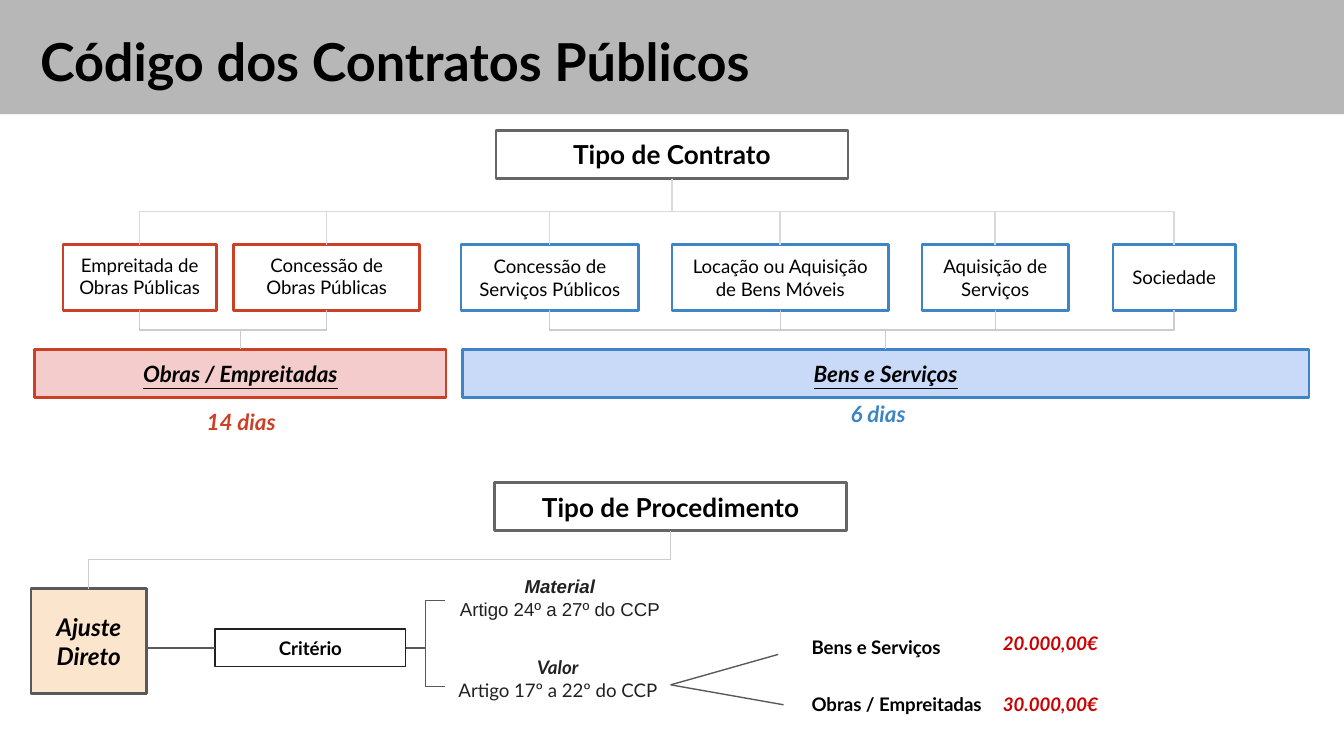
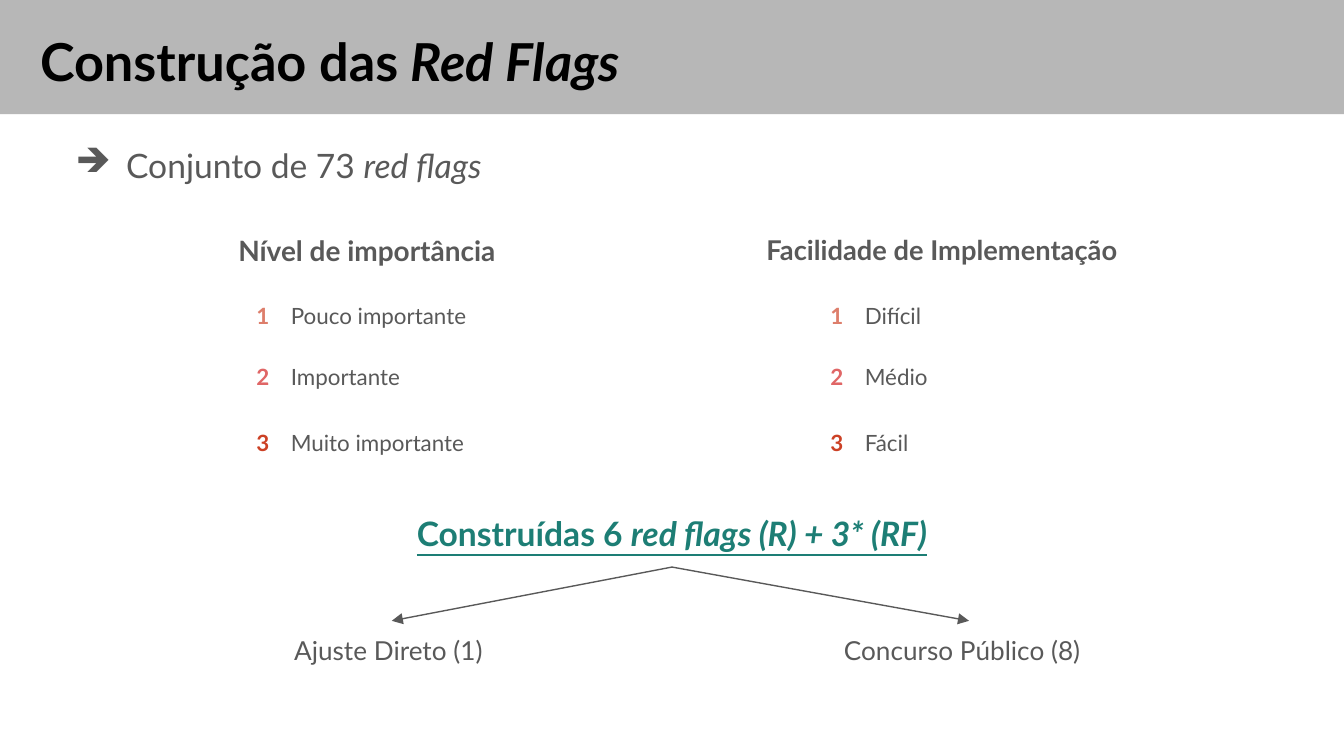
from lxml.etree import SubElement
from pptx import Presentation
from pptx.dml.color import RGBColor
from pptx.enum.shapes import MSO_CONNECTOR, MSO_SHAPE
from pptx.enum.text import MSO_ANCHOR, PP_ALIGN
from pptx.oxml.ns import qn
from pptx.util import Pt

BLACK, GRAY, DARK = "000000", "595959", "212121"
RED, BLUE, TEAL = "CC4125", "3D85C6", "1D7E75"
BAND, FRAME, PRICE = "B7B7B7", "666666", "CC0000"
PALE, SILVER = "D9D9D9", "CCCCCC"
HEAD = dict(fill=BAND, size=28, bold=True, top=15.8, margin=14.4)


def add_box(page, place, text, fill=None, line=None, weight=1.5, size=10, color=BLACK,
            bold=False, italic=False, underline=False, font="Lato", center=False,
            middle=False, top=7.2, bottom=7.2, margin=0, indent=0, bullet=None,
            spacing=None, after=None):
    """Text is a string or a list of (string, changed format) spans."""
    place = [Pt(value) for value in place]
    if fill or line:
        box = page.shapes.add_shape(MSO_SHAPE.RECTANGLE, *place)
        box.shadow.inherit = False
    else:
        box = page.shapes.add_textbox(*place)
    if fill:
        box.fill.solid()
        box.fill.fore_color.rgb = RGBColor.from_string(fill)
    else:
        box.fill.background()
    if line:
        box.line.color.rgb = RGBColor.from_string(line)
        box.line.width = Pt(weight)
    else:
        box.line.fill.background()

    frame = box.text_frame
    frame.word_wrap = True
    frame.vertical_anchor = MSO_ANCHOR.MIDDLE if middle else MSO_ANCHOR.TOP
    frame.margin_left = frame.margin_right = Pt(7.2)
    frame.margin_top, frame.margin_bottom = Pt(top), Pt(bottom)
    para = frame.paragraphs[0]
    para.alignment = PP_ALIGN.CENTER if center else PP_ALIGN.LEFT
    if spacing:
        para.line_spacing = spacing
    if after:
        para.space_after = Pt(after)
    settings = para._p.get_or_add_pPr()
    settings.set("marL", str(Pt(margin)))
    settings.set("indent", str(Pt(indent)))
    if bullet:
        tint = SubElement(settings, qn("a:buClr"))
        SubElement(tint, qn("a:srgbClr")).set("val", color)
        SubElement(settings, qn("a:buChar")).set("char", bullet)

    for words, changes in [(text, {})] if isinstance(text, str) else text:
        style = dict(color=color, bold=bold, italic=italic) | changes
        span = para.add_run()
        span.text = words.rstrip("\n")
        span.font.name, span.font.size = font, Pt(size)
        span.font.bold, span.font.italic = style["bold"], style["italic"]
        span.font.underline = underline
        span.font.color.rgb = RGBColor.from_string(style["color"])
        if words.endswith("\n"):
            para.add_line_break()
    return box


def add_line(page, start, end, color=GRAY, bend=None, arrow=False):
    """A bend of "down" leaves vertically, "across" leaves horizontally."""
    (x1, y1), (x2, y2) = start, end
    angle = 0
    if bend == "down":
        # The elbow is laid out lying down, then turned about its centre
        middle_x, middle_y = (x1 + x2) / 2, (y1 + y2) / 2
        half_drop, half_run = (y2 - y1) / 2, abs(x2 - x1) / 2
        angle = 90 if x2 < x1 else 270
        side = 1 if x2 < x1 else -1
        x1, x2 = middle_x - side * half_drop, middle_x + side * half_drop
        y1, y2 = middle_y - half_run, middle_y + half_run
    kind = MSO_CONNECTOR.ELBOW if bend else MSO_CONNECTOR.STRAIGHT
    line = page.shapes.add_connector(kind, Pt(x1), Pt(y1), Pt(x2), Pt(y2))
    line.rotation = angle
    line.line.color.rgb = RGBColor.from_string(color)
    line.line.width = Pt(0.75)
    if arrow:
        SubElement(line.line._get_or_add_ln(), qn("a:tailEnd")).set("type", "triangle")
    SubElement(line._element.spPr, qn("a:effectLst"))
    return line


deck = Presentation()
deck.slide_width, deck.slide_height = Pt(720), Pt(405)
titles = [
    "Código dos Contratos Públicos",
    [("Construção das ", {}), ("Red Flags", {"italic": True})],
]
pages = []
for title in titles:
    page = deck.slides.add_slide(deck.slide_layouts[6])
    add_box(page, (0, 0, 720, 61.2), title, **HEAD)
    pages.append(page)

# Slide 1: contract types, gathered into two groups
page = pages[0]
heading = dict(line=FRAME, size=14, bold=True, center=True, middle=True)
add_box(page, (265.7, 69.8, 188.6, 25.9), "Tipo de Contrato", **heading)

groups = [
    ("Obras / Empreitadas", 18.7, 220.3, "F4CCCC", RED, 7.2, [
        ("Empreitada de Obras Públicas", 33.8, 82.1),
        ("Concessão de Obras Públicas", 125.3, 99.4),
    ]),
    ("Bens e Serviços", 247.7, 453.6, "C9DAF8", BLUE, 8.6, [
        ("Concessão de Serviços Públicos", 247, 95),
        ("Locação ou Aquisição de Bens Móveis", 360, 115.9),
        ("Aquisição de Serviços", 493.9, 78.5),
        ("Sociedade", 596.2, 65.5),
    ]),
]
for group, group_left, group_width, fill, color, top, contracts in groups:
    add_box(page, (group_left, 187.2, group_width, 25.9), group, fill=fill, line=color,
            size=12, bold=True, italic=True, underline=True, center=True, middle=True)
    for contract, left, width in contracts:
        add_box(page, (left, 131, width, 35.3), contract, line=color, center=True,
                middle=True, top=top, bottom=8.6)
        center = left + width / 2
        add_line(page, (360, 95.7), (center, 131), PALE, bend="down")
        add_line(page, (center, 166.3), (group_left + group_width / 2, 187.2),
                 SILVER, bend="down")

deadline = dict(size=12, bold=True, italic=True)
add_box(page, (98.6, 212.4, 61.2, 25.9), "14 dias", color=RED, center=True, top=6.5,
        **deadline)
add_box(page, (448.6, 207.4, 51.1, 25.9), "6 dias", color=BLUE, **deadline)

# Slide 1: procedure and its criteria
add_box(page, (265, 258.5, 188.6, 25.9), "Tipo de Procedimento", **heading)
add_box(page, (16.6, 315.4, 61.9, 56.2), "Ajuste Direto", fill="FCE5CD", line=GRAY,
        size=13, bold=True, italic=True, center=True, middle=True)
add_line(page, (359.3, 284.4), (47.5, 315.4), SILVER, bend="down")
criterion = add_box(page, (115.2, 337, 102.2, 20.2), "Critério", line=DARK, weight=0.75,
                    bold=True, center=True, top=4.3)
add_line(page, (78.5, 347.1), (115.2, 347.1)).end_connect(criterion, 1)

strong = {"bold": True, "italic": True}
detail = dict(color=DARK, center=True, top=0)
add_box(page, (238.3, 308.2, 123.1, 26.6),
        [("Material\n", strong), ("Artigo 24º a 27º do CCP", {})], font="Arial", **detail)
value = add_box(page, (238.3, 351.4, 121, 31),
                [("Valor\n", strong), ("Artigo 17º a 22º do CCP", {})], **detail)
for end_y in (321.8, 367.9):
    add_line(page, (217.4, 347.1), (238.3, end_y), bend="across")

# Slide 1: price limits
add_box(page, (427.7, 334.8, 92.9, 25.2), "Bens e Serviços", bold=True)
works = add_box(page, (419.8, 365, 121, 25.2), "Obras / Empreitadas", bold=True,
                center=True)
for price, top in (("20.000,00€", 332.6), ("30.000,00€", 365)):
    add_box(page, (527.8, top, 69.8, 20.2), price, color=PRICE, bold=True, italic=True,
            center=True)
add_line(page, (359.3, 366.9), (416.9, 350.6)).begin_connect(value, 3)
branch = add_line(page, (359.3, 366.9), (419.8, 377.6))
branch.begin_connect(value, 3)
branch.end_connect(works, 1)

# Slide 2: opening bullet
page = pages[1]
add_box(page, (24.5, 67, 671, 39.6),
        [("Conjunto de 73 ", {}), ("red flags", {"italic": True})], size=18, color=GRAY,
        margin=36, indent=-27, bullet="➔", spacing=1.15)

# Slide 2: two scales of three levels
scales = [
    ("Nível de importância", 95.8, 201.6, 15, 130.3,
     ["Pouco importante", "Importante", "Muito importante"]),
    ("Facilidade de Implementação", 385.2, 239, 14.6, 437.8,
     ["Difícil", "Médio", "Fácil"]),
]
levels = [("1", 154.8, "DD7E6B"), ("2", 187.2, "E06666"), ("3", 222.5, RED)]
for scale, left, width, size, level_left, labels in scales:
    add_box(page, (left, 115.2, width, 39.6), scale, size=size, color=GRAY, bold=True,
            center=True, spacing=1.15, after=12)
    for (number, top, color), label in zip(levels, labels):
        add_box(page, (level_left, top, 133.2, 23),
                [(number + "\t", {"color": color, "bold": True}), (label, {})],
                size=12, color=GRAY, margin=18.4, indent=-18.4)

# Slide 2: result and its two branches
result = add_box(page, (24.5, 264.2, 671, 39.6),
                 [("Construídas 6 ", {}), ("red flags (R) + 3* (RF)", {"italic": True})],
                 size=18, color=TEAL, bold=True, underline=True, center=True,
                 spacing=1.15, after=12)
for label, left, width in (("Ajuste Direto (1)", 150.5, 118.8),
                           ("Concurso Público (8)", 445, 148.3)):
    outcome = add_box(page, (left, 332.6, width, 28.1), label, size=14, color=GRAY)
    branch = add_line(page, (360, 303.8), (left + width / 2, 332.6), arrow=True)
    branch.begin_connect(result, 2)
    branch.end_connect(outcome, 0)

deck.save("out.pptx")
